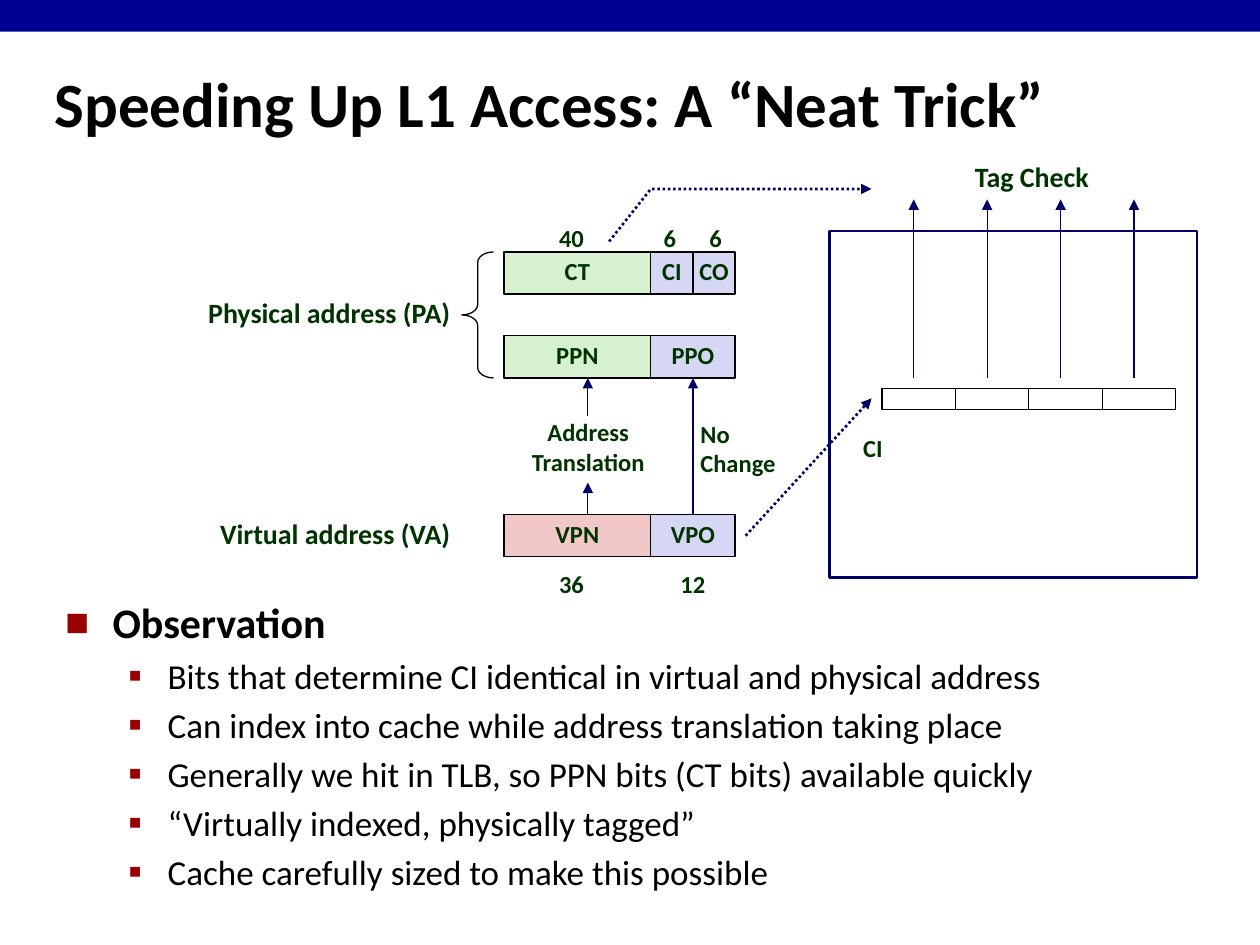
from lxml import etree
from pptx import Presentation
from pptx import util as u
from pptx.dml import color
from pptx.enum import dml, shapes, text
from pptx.oxml import ns

THEME = {
    "font": "Calibri",
    "band": "000090", "ink": "000000", "label": "003300", "arrow": "000066",
    "bullet": "990000", "paper": "FFFFFF",
    "green": "D5F1CF", "lilac": "D6D6F5", "pink": "F1C7C7",
    "title": 36, "heading": 24, "point": 20, "name": 16, "bits": 14,
    "thin": 0.75, "thick": 1.5,
}
LEFT, CENTER, RIGHT = text.PP_ALIGN.LEFT, text.PP_ALIGN.CENTER, text.PP_ALIGN.RIGHT

TITLE = "Speeding Up L1 Access: A “Neat Trick”"
HEADING = "Observation"
POINTS = [
    "Bits that determine CI identical in virtual and physical address",
    "Can index into cache while address translation taking place",
    "Generally we hit in TLB, so PPN bits (CT bits) available quickly",
    "“Virtually indexed, physically tagged”",
    "Cache carefully sized to make this possible",
]

FIELD_LEFT, FIELD_HEIGHT = 10.16, 0.85
ADDRESS_ROWS = [
    (5.08, [("CT", 2.96, "green"), ("CI", 0.85, "lilac"), ("CO", 0.85, "lilac")]),
    (6.77, [("PPN", 2.96, "green"), ("PPO", 1.7, "lilac")]),
    (10.37, [("VPN", 2.96, "pink"), ("VPO", 1.7, "lilac")]),
]
NAMES = [
    ("Physical address (PA)", (2.4, 5.93, 6.93, 0.85), RIGHT, True),
    ("Virtual address (VA)", (2.4, 10.37, 6.93, 0.85), RIGHT, True),
    ("Tag Check", (19.36, 3.18, 2.84, 0.85), RIGHT, False),
]
BIT_LABELS = [
    ("40", (11.02, 4.45, 1.02, 0.8), LEFT, False),
    ("6", (13.13, 4.45, 0.77, 0.8), LEFT, False),
    ("6", (14.05, 4.45, 0.77, 0.8), LEFT, False),
    ("36", (11.02, 11.43, 1.02, 0.8), LEFT, False),
    ("12", (13.12, 11.43, 1.7, 0.8), CENTER, True),
]
INDEX_LABEL = ("CI", (17.15, 8.68, 0.92, 0.8), LEFT, False)
STEPS = [
    (["Address", "Translation"], (10.36, 8.16, 3, 1.7), CENTER),
    (["No", "Change"], (13.87, 8.31, 2.04, 1.45), LEFT),
]
STEP_ARROWS = [
    ((11.85, 10.38), (11.85, 9.73)),
    ((11.85, 8.38), (11.85, 7.62)),
    ((13.97, 10.38), (13.97, 7.62)),
]
BRACE = (9.31, 5.08, 0.64, 2.54)
CACHE = (16.72, 4.66, 7.41, 6.98)
WAYS, WAY_LEFT, WAY_TOP, WAY_WIDTH, WAY_HEIGHT = 4, 17.78, 7.83, 1.48, 0.42
TAG_ARROW_OFFSET, TAG_ARROW_START, TAG_ARROW_END = 0.64, 7.62, 4.02
INDEX_ARROW = ((15.03, 10.8), (17.57, 8.03))
TAG_ROUTE = [(12.28, 4.87), (13.12, 3.81), (17.57, 3.81)]


def cm(values):
    return [u.Cm(value) for value in values]


def rgb(name):
    return color.RGBColor.from_string(THEME[name])


def add_run(paragraph, words, size, ink="label", bold=True):
    run = paragraph.add_run()
    run.text = words
    run.font.name = THEME["font"]
    run.font.size = u.Pt(THEME[size])
    run.font.bold = bold
    run.font.color.rgb = rgb(ink)


def fill_frame(shape, lines, size, align, wrap=False, spacing=0.88,
               anchor=text.MSO_ANCHOR.TOP):
    frame = shape.text_frame
    frame.word_wrap = wrap
    frame.vertical_anchor = anchor
    for index, words in enumerate(lines):
        paragraph = frame.add_paragraph() if index else frame.paragraphs[0]
        paragraph.alignment = align
        paragraph.line_spacing = spacing
        add_run(paragraph, words, size)


def add_label(slide, label, size):
    words, box, align, wrap = label
    fill_frame(slide.shapes.add_textbox(*cm(box)), [words], size, align, wrap)


def add_outline(slide, box, kind=shapes.MSO_SHAPE.RECTANGLE, fill=None,
                line="ink", width="thin"):
    shape = slide.shapes.add_shape(kind, *cm(box))
    shape.shadow.inherit = False
    if fill:
        shape.fill.solid()
        shape.fill.fore_color.rgb = rgb(fill)
    else:
        shape.fill.background()
    if line:
        shape.line.color.rgb = rgb(line)
        shape.line.width = u.Pt(THEME[width])
    else:
        shape.line.fill.background()
    return shape


def style_arrow(shape, dotted=False):
    shape.line.color.rgb = rgb("arrow")
    shape.line.width = u.Pt(THEME["thick" if dotted else "thin"])
    if dotted:
        shape.line.dash_style = dml.MSO_LINE.ROUND_DOT
    properties = shape.element.spPr
    outline = properties.find(ns.qn("a:ln"))
    etree.SubElement(outline, ns.qn("a:tailEnd"), type="triangle")
    if properties.find(ns.qn("a:effectLst")) is None:
        etree.SubElement(properties, ns.qn("a:effectLst"))


def add_arrow(slide, start, end, dotted=False):
    connector = slide.shapes.add_connector(
        shapes.MSO_CONNECTOR.STRAIGHT, *cm(start + end))
    style_arrow(connector, dotted)


def add_bullet(paragraph, mark, percent, margin, hanging):
    properties = paragraph._p.get_or_add_pPr()
    properties.set("marL", str(u.Cm(margin)))
    properties.set("indent", str(-u.Cm(hanging)))
    bullet_color = etree.SubElement(properties, ns.qn("a:buClr"))
    etree.SubElement(bullet_color, ns.qn("a:srgbClr"), val=THEME["bullet"])
    etree.SubElement(properties, ns.qn("a:buSzPct"), val=str(percent * 1000))
    etree.SubElement(properties, ns.qn("a:buFont"), typeface=THEME["font"])
    etree.SubElement(properties, ns.qn("a:buChar"), char=mark)


def add_title(slide):
    title = slide.shapes.title
    title.left, title.top, title.width, title.height = cm((0.85, 1.27, 22.01, 1.6))
    frame = title.text_frame
    frame.auto_size = text.MSO_AUTO_SIZE.NONE
    frame.vertical_anchor = text.MSO_ANCHOR.MIDDLE
    frame.paragraphs[0].alignment = LEFT
    add_run(frame.paragraphs[0], TITLE, "title", "ink")


def add_observation(slide):
    frame = slide.shapes.add_textbox(*cm((1.07, 11.91, 23.75, 6.5))).text_frame
    frame.word_wrap = True
    heading = frame.paragraphs[0]
    add_bullet(heading, "■", 60, 0.95, 0.95)
    add_run(heading, HEADING, "heading", "ink")
    for words in POINTS:
        paragraph = frame.add_paragraph()
        paragraph.level = 1
        paragraph.space_before = u.Pt(THEME["point"] * 0.2)
        add_bullet(paragraph, "▪", 110, 2.06, 0.79)
        add_run(paragraph, words, "point", "ink", bold=False)


def add_addresses(slide):
    for top, fields in ADDRESS_ROWS:
        left = FIELD_LEFT
        for words, width, fill in fields:
            field = add_outline(slide, (left, top, width, FIELD_HEIGHT), fill=fill)
            fill_frame(field, [words], "bits", CENTER, anchor=text.MSO_ANCHOR.MIDDLE)
            left += width
    for labels, size in ((NAMES, "name"), (BIT_LABELS, "bits")):
        for label in labels:
            add_label(slide, label, size)
    brace = add_outline(slide, BRACE, shapes.MSO_SHAPE.LEFT_BRACE)
    brace.adjustments[0] = 0.33
    for start, end in STEP_ARROWS:
        add_arrow(slide, start, end)
    for lines, box, align in STEPS:
        fill_frame(slide.shapes.add_textbox(*cm(box)), lines, "bits", align,
                   spacing=1.0, anchor=text.MSO_ANCHOR.MIDDLE)


def add_cache(slide):
    add_outline(slide, CACHE, fill="paper", line="arrow", width="thick")
    for way in range(WAYS):
        left = WAY_LEFT + way * WAY_WIDTH
        add_outline(slide, (left, WAY_TOP, WAY_WIDTH, WAY_HEIGHT))
        center = left + TAG_ARROW_OFFSET
        add_arrow(slide, (center, TAG_ARROW_START), (center, TAG_ARROW_END))
    add_arrow(slide, *INDEX_ARROW, dotted=True)
    add_label(slide, INDEX_LABEL, "bits")
    start, *corners = [cm(point) for point in TAG_ROUTE]
    builder = slide.shapes.build_freeform(*start)
    builder.add_line_segments(corners, close=False)
    route = builder.convert_to_shape()
    route.shadow.inherit = False
    route.fill.background()
    style_arrow(route, dotted=True)


def main():
    presentation = Presentation()
    presentation.slide_width, presentation.slide_height = cm((25.4, 19.05))
    slide = presentation.slides.add_slide(presentation.slide_layouts[5])
    add_outline(slide, (0, 0, 25.4, 0.64), fill="band", line=None)
    add_title(slide)
    add_observation(slide)
    add_addresses(slide)
    add_cache(slide)
    presentation.save("out.pptx")


if __name__ == "__main__":
    main()
